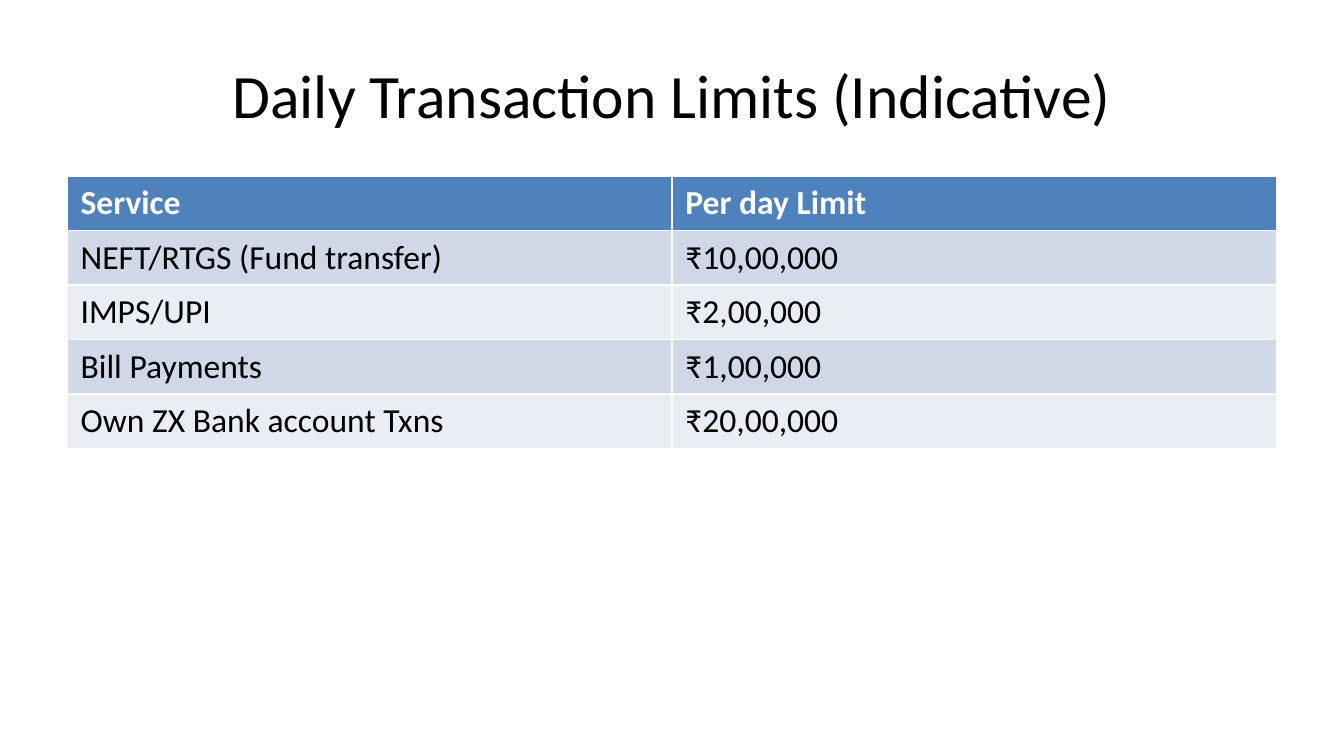
from dataclasses import dataclass

from pptx import Presentation
from pptx.dml.color import RGBColor
from pptx.enum import text
from pptx.util import Inches, Pt


@dataclass(frozen=True)
class Theme:
    font: str = "Calibri"
    title_size: int = 33
    table_size: int = 18
    ink: str = "000000"
    header_ink: str = "FFFFFF"
    header_fill: str = "4F81BD"
    bands: tuple = ("D0D8E8", "E9EDF4")


THEME = Theme()
LIMITS = [
    ("Service", "Per day Limit"),
    ("NEFT/RTGS (Fund transfer)", "₹10,00,000"),
    ("IMPS/UPI", "₹2,00,000"),
    ("Bill Payments", "₹1,00,000"),
    ("Own ZX Bank account Txns", "₹20,00,000"),
]


def style(paragraph, size, color, bold=False):
    for run in paragraph.runs:
        run.font.name = THEME.font
        run.font.size = Pt(size)
        run.font.bold = bold
        run.font.color.rgb = RGBColor.from_string(color)


def add_title(slide, wording, left, top, width, height):
    title = slide.shapes.add_textbox(
        Inches(left), Inches(top), Inches(width), Inches(height))
    frame = title.text_frame
    frame.word_wrap = True
    frame.vertical_anchor = text.MSO_ANCHOR.MIDDLE
    frame.text = wording
    heading = frame.paragraphs[0]
    heading.alignment = text.PP_ALIGN.CENTER
    style(heading, THEME.title_size, THEME.ink)


def add_limits_table(slide, rows, left, top, width, height):
    """Header row over banded rows; the table style draws the white borders."""
    limits = slide.shapes.add_table(
        len(rows), len(rows[0]), Inches(left), Inches(top),
        Inches(width), Inches(height)).table
    for r, row in enumerate(rows):
        header = r == 0
        fill = THEME.header_fill if header else THEME.bands[(r - 1) % 2]
        ink = THEME.header_ink if header else THEME.ink
        for c, wording in enumerate(row):
            cell = limits.cell(r, c)
            cell.fill.solid()
            cell.fill.fore_color.rgb = RGBColor.from_string(fill)
            cell.text_frame.text = wording
            style(cell.text_frame.paragraphs[0], THEME.table_size, ink, header)


def main():
    deck = Presentation()
    deck.slide_width = Inches(10)
    deck.slide_height = deck.slide_width * 9 // 16
    slide = deck.slides.add_slide(deck.slide_layouts[6])
    add_title(slide, "Daily Transaction Limits (Indicative)", 0.5, 0.23, 9, 0.94)
    add_limits_table(slide, LIMITS, 0.5, 1.31, 9, 2.03)
    deck.save("out.pptx")


if __name__ == "__main__":
    main()
